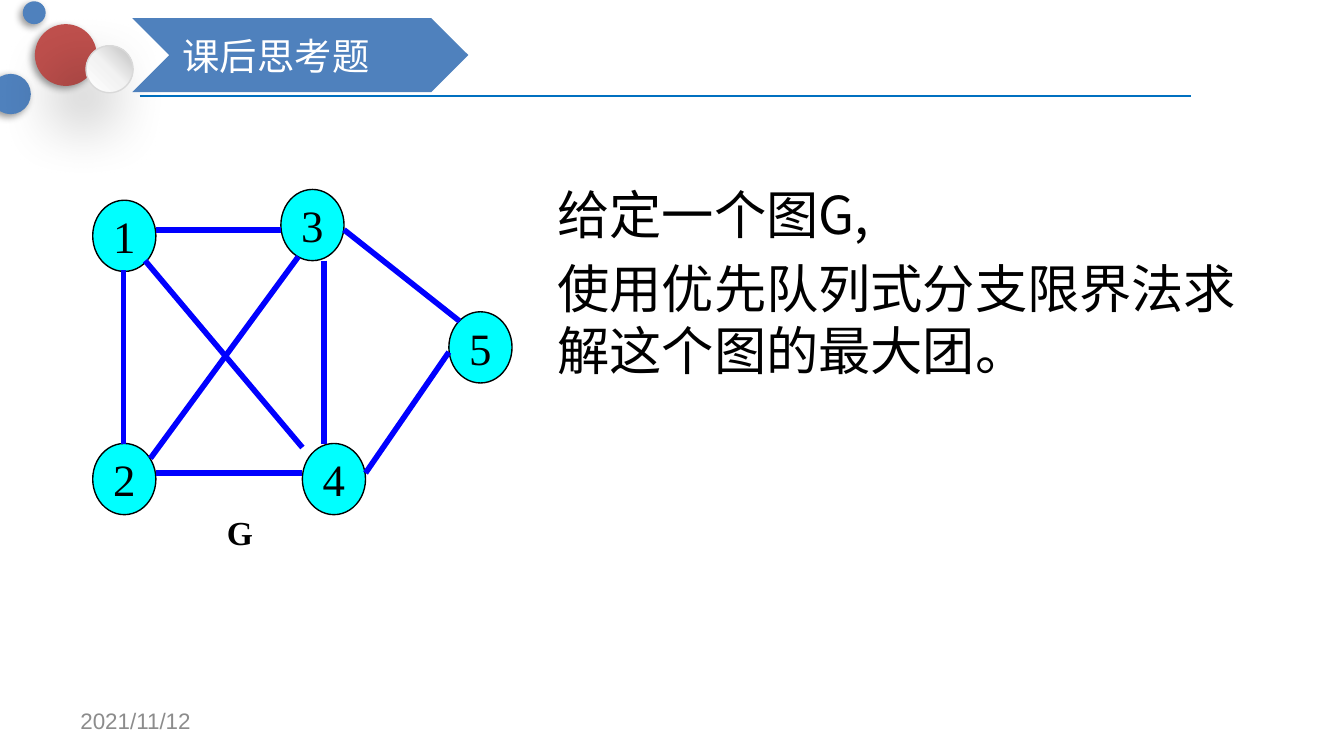
from dataclasses import dataclass

from pptx import Presentation
from pptx.dml.color import RGBColor
from pptx.enum.shapes import MSO_CONNECTOR, MSO_SHAPE
from pptx.enum.text import MSO_ANCHOR, PP_ALIGN
from pptx.oxml import parse_xml
from pptx.oxml.ns import nsdecls, qn
from pptx.util import Inches, Pt

LINE = MSO_CONNECTOR.STRAIGHT
OVAL, CHEVRON = MSO_SHAPE.OVAL, MSO_SHAPE.CHEVRON
MIDDLE, TOP = MSO_ANCHOR.MIDDLE, MSO_ANCHOR.TOP
CENTER, LEFT = PP_ALIGN.CENTER, PP_ALIGN.LEFT
CELL = 0.1
COLS, ROWS = 100, 56.25


@dataclass(frozen=True)
class Theme:
    """Colours, fonts and type sizes."""
    blue: str = "4F81BD"
    red: str = "C0504D"
    rule: str = "0070C0"
    edge: str = "0000FF"
    node: str = "00FFFF"
    black: str = "000000"
    white: str = "FFFFFF"
    gray: str = "8C8C8C"
    rim: str = "D9D9D9"
    pearl: tuple = ((0, "FFFFFF"), (50, "F2F2F2"), (100, "BFBFBF"))
    hans: str = "Noto Sans CJK SC"
    serif: str = "Times New Roman"
    sans: str = "Arial"
    body: int = 28
    digit: int = 24
    title: int = 20
    label: int = 18
    small: int = 12


T = Theme()
DOTS = [
    ((2.6, 1.8), 4.6, T.red),
    ((-0.7, 5.5), 3, T.blue),
    ((6.4, 3.4), 3.5, None),
    ((1.7, 0.1), 1.7, T.blue),
]
NODES = {"1": (6.9, 14.9), "3": (20.9, 14.1), "2": (6.9, 33),
         "4": (22.5, 33), "5": (33.4, 23.2)}
EDGES = [
    ((9.2, 20.1), (9.2, 33)),
    ((11.6, 35.2), (22.5, 35.2)),
    ((11.6, 17.1), (20.9, 17.1)),
    ((25.6, 17.1), (34.2, 23.9)),
    ((27.2, 35.2), (33.4, 26.2)),
    ((24.1, 19.4), (24.1, 33)),
    ((10.8, 19.4), (22.5, 33.3)),
    ((11.2, 34.1), (22.2, 19.1)),
]
TASK = ["给定一个图G,", "使用优先队列式分支限界法求解这个图的最大团。"]


def grid(*cells):
    """Turn grid cells into lengths."""
    return [Inches(CELL * n) for n in cells]


def rgb(code):
    """Return a colour from its hex code."""
    return RGBColor.from_string(code)


def write(shape, lines, size, face, color, align=LEFT, anchor=MIDDLE,
          wrap=True, bold=False, gap=0):
    """Fill a shape with paragraphs of one style."""
    frame = shape.text_frame
    frame.word_wrap = wrap
    frame.vertical_anchor = anchor
    for i, line in enumerate(lines):
        para = frame.add_paragraph() if i else frame.paragraphs[0]
        para.alignment = align
        para.space_before = Pt(gap if i else 0)
        run = para.add_run()
        run.text = line
        font = run.font
        font.size, font.name, font.bold = Pt(size), face, bold
        font.color.rgb = rgb(color)
        east = run._r.get_or_add_rPr().makeelement(qn("a:ea"), {"typeface": face})
        run._r.rPr.append(east)


def text(slide, box, *args, **style):
    """Add a text box."""
    write(slide.shapes.add_textbox(*grid(*box)), *args, **style)


def form(slide, kind, box, fill, line=None):
    """Add a flat preset shape."""
    shape = slide.shapes.add_shape(kind, *grid(*box))
    shape.shadow.inherit = False
    shape.fill.solid()
    shape.fill.fore_color.rgb = rgb(fill)
    if line:
        shape.line.color.rgb = rgb(line)
        shape.line.width = Pt(0.75)
    else:
        shape.line.fill.background()
    return shape


def shade(shape, blur, dist):
    """Cast a soft shadow to the lower left."""
    effect = shape._element.spPr.find(qn("a:effectLst"))
    effect.append(parse_xml(
        f'<a:outerShdw {nsdecls("a")} blurRad="{Pt(blur)}" dist="{Pt(dist)}" '
        f'dir="8100000" algn="tr" rotWithShape="0"><a:srgbClr val="{T.black}">'
        '<a:alpha val="40000"/></a:srgbClr></a:outerShdw>'))


def blend(shape, stops, angle):
    """Replace a solid fill by a linear gradient."""
    marks = "".join(f'<a:gs pos="{pos * 1000}"><a:srgbClr val="{code}"/></a:gs>'
                    for pos, code in stops)
    props = shape._element.spPr
    props.replace(props.find(qn("a:solidFill")), parse_xml(
        f'<a:gradFill {nsdecls("a")} rotWithShape="1"><a:gsLst>{marks}</a:gsLst>'
        f'<a:lin ang="{angle * 60000}" scaled="0"/></a:gradFill>'))


def dot(slide, spot, size, color):
    """Add a shadowed ball, pearly when it has no colour."""
    box = (*spot, size, size)
    if color:
        shade(form(slide, OVAL, box, color), 4, 2)
    else:
        ball = form(slide, OVAL, box, T.white, T.rim)
        blend(ball, T.pearl, 315)
        shade(ball, 35, 20)


def stroke(slide, start, end, color, width):
    """Add a straight line."""
    line = slide.shapes.add_connector(LINE, *grid(*start, *end))
    line.line.color.rgb = rgb(color)
    line.line.width = Pt(width)
    props = line._element.spPr
    props.append(props.makeelement(qn("a:effectLst"), {}))


def node(slide, name, spot):
    """Add a numbered vertex."""
    shape = form(slide, OVAL, (*spot, 4.7, 5.3), T.node, T.black)
    write(shape, [name], T.digit, T.serif, T.black, align=CENTER, wrap=False)


def main():
    """Build the slide and save it."""
    deck = Presentation()
    deck.slide_width, deck.slide_height = grid(COLS, ROWS)
    slide = deck.slides.add_slide(deck.slide_layouts[6])
    stroke(slide, (10.4, 7.15), (88.6, 7.15), T.rule, 1.25)
    for spot, size, color in DOTS:
        dot(slide, spot, size, color)
    text(slide, (40.5, 13.1, 54.5, 37.1), TASK, T.body, T.hans, T.black,
         anchor=TOP, gap=5.6)
    text(slide, (5, 52.1, 23.3, 3), ["2021/11/12"], T.small, T.sans, T.gray)
    head = form(slide, CHEVRON, (9.85, 1.35, 25, 5.5), T.blue)
    write(head, ["课后思考题"], T.title, T.hans, T.white)
    for name, spot in NODES.items():
        node(slide, name, spot)
    for start, end in EDGES:
        stroke(slide, start, end, T.edge, 3)
    text(slide, (15.9, 37.6, 4, 4), ["G"], T.label, T.serif, T.black,
         anchor=TOP, wrap=False, bold=True)
    deck.save("out.pptx")


if __name__ == "__main__":
    main()
